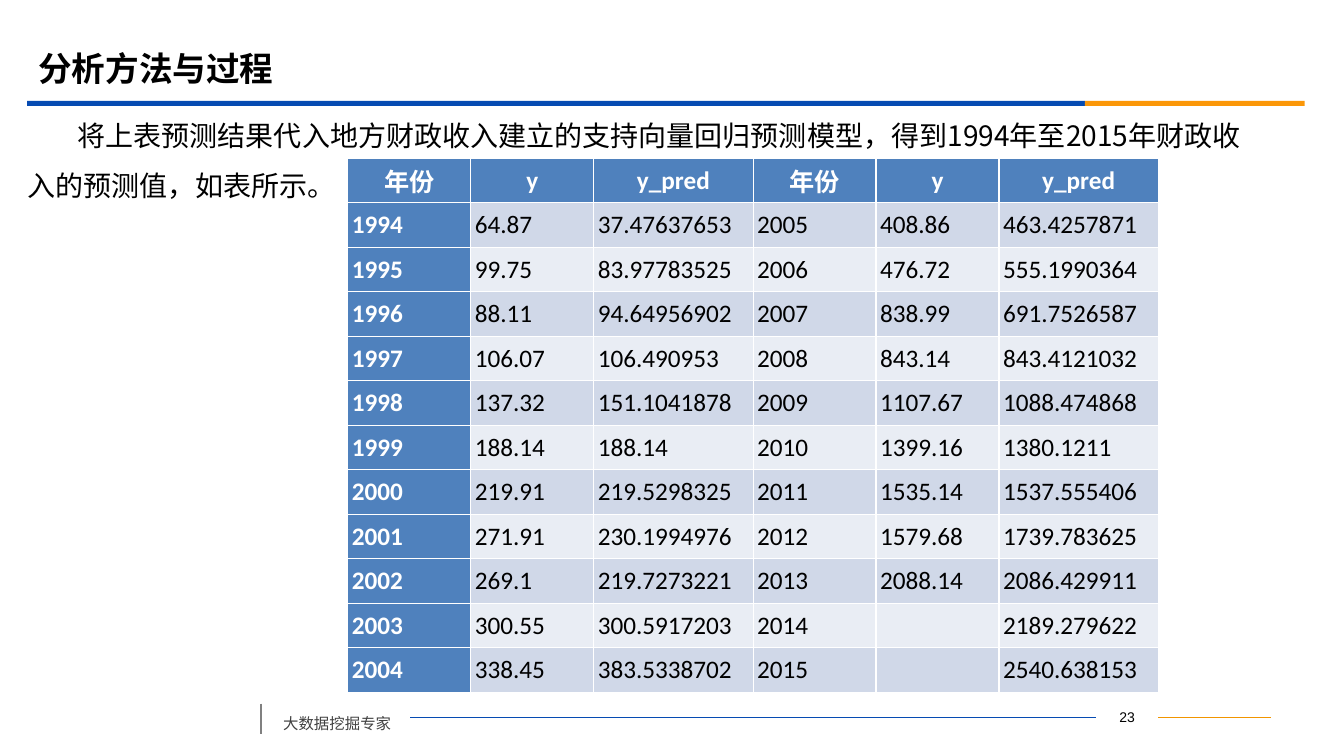
from dataclasses import dataclass

from lxml import etree
from pptx import Presentation
from pptx import util as u
from pptx.dml.color import RGBColor
from pptx.enum import shapes, text
from pptx.oxml import ns

# Content
TITLE = "分析方法与过程"
INTRO = ("将上表预测结果代入地方财政收入建立的支持向量回归预测模型，"
         "得到1994年至2015年财政收入的预测值，如表所示。")
FOOTER, PAGE = "大数据挖掘专家", "23"
HEADINGS = ("年份", "y", "y_pred")
FIRST_YEAR = 1994
REVENUE = [  # (y, y_pred), one pair a year
    ("64.87", "37.47637653"), ("99.75", "83.97783525"),
    ("88.11", "94.64956902"), ("106.07", "106.490953"),
    ("137.32", "151.1041878"), ("188.14", "188.14"),
    ("219.91", "219.5298325"), ("271.91", "230.1994976"),
    ("269.1", "219.7273221"), ("300.55", "300.5917203"),
    ("338.45", "383.5338702"), ("408.86", "463.4257871"),
    ("476.72", "555.1990364"), ("838.99", "691.7526587"),
    ("843.14", "843.4121032"), ("1107.67", "1088.474868"),
    ("1399.16", "1380.1211"), ("1535.14", "1537.555406"),
    ("1579.68", "1739.783625"), ("2088.14", "2086.429911"),
    ("", "2189.279622"), ("", "2540.638153"),
]


@dataclass(frozen=True)
class Theme:
    blue: str = "064BB2"
    orange: str = "FB9708"
    rule_orange: str = "F19500"
    grey: str = "808080"
    footer: str = "404040"
    black: str = "000000"
    white: str = "FFFFFF"
    header: str = "4F81BD"
    bands: tuple = ("D0D8E8", "E9EDF4")
    latin: str = "Arial"
    cjk: str = "Noto Sans CJK SC"
    table_font: str = "Calibri"
    title_size: int = 24
    body_size: int = 20
    table_size: int = 18
    footer_size: int = 11
    page_size: int = 10


T = Theme()
ALIGN = text.PP_ALIGN

# Grid, in inches
WIDTH, HEIGHT = 13.33, 7.5
LEFT = 0.27
BAR_TOP, BAR_HEIGHT, BAR_SPLIT, BAR_END = 1, 0.05, 10.76, 12.94
TABLE_LEFT, TABLE_TOP, TABLE_HEIGHT = 3.45, 1.57, 5.3
COLUMNS = (1.22, 1.22, 1.58) * 2
FOOTER_Y, FOOTER_LEFT = 7.12, 2.59
RULE_START, PAGE_LEFT, PAGE_RIGHT, RULE_END = 4.07, 10.87, 11.49, 12.61

deck = Presentation()
deck.slide_width, deck.slide_height = u.Inches(WIDTH), u.Inches(HEIGHT)
slide = deck.slides.add_slide(deck.slide_layouts[5])


def rgb(colour):
    return RGBColor.from_string(colour)


def write(frame, words, size, font=T.cjk, colour=T.black, bold=False,
          align=ALIGN.LEFT, spacing=1.0, before=0, indent=0, inset=None,
          anchor=None):
    frame.word_wrap = True
    if anchor is not None:
        frame.vertical_anchor = anchor
    if inset is not None:
        frame.margin_left = frame.margin_right = u.Inches(inset)
        frame.margin_top = frame.margin_bottom = u.Inches(inset)
    paragraph = frame.paragraphs[0]
    paragraph.alignment = align
    paragraph.line_spacing, paragraph.space_before = spacing, u.Pt(before)
    if indent:
        paragraph._p.get_or_add_pPr().set("indent", str(u.Inches(indent)))
    run = paragraph.add_run()
    run.text = words
    run.font.size, run.font.name, run.font.bold = u.Pt(size), font, bold
    run.font.color.rgb = rgb(colour)
    east_asian = etree.SubElement(run._r.get_or_add_rPr(), ns.qn("a:ea"))
    east_asian.set("typeface", T.cjk)


def text_box(left, top, width, height):
    box = slide.shapes.add_textbox(*map(u.Inches, (left, top, width, height)))
    return box.text_frame


def bar(left, right, colour):
    strip = slide.shapes.add_shape(
        shapes.MSO_SHAPE.RECTANGLE, u.Inches(left), u.Inches(BAR_TOP),
        u.Inches(right - left), u.Inches(BAR_HEIGHT))
    strip.shadow.inherit = False
    strip.fill.solid()
    strip.fill.fore_color.rgb = rgb(colour)
    strip.line.fill.background()


def rule(x1, y1, x2, y2, colour, weight):
    line = slide.shapes.add_connector(
        shapes.MSO_CONNECTOR.STRAIGHT, *map(u.Inches, (x1, y1, x2, y2)))
    line.line.color.rgb = rgb(colour)
    line.line.width = u.Pt(weight)
    etree.SubElement(line._element.spPr, ns.qn("a:effectLst"))


# Footer
rule(PAGE_RIGHT, FOOTER_Y, RULE_END, FOOTER_Y, T.rule_orange, 0.75)
rule(RULE_START, FOOTER_Y, PAGE_LEFT, FOOTER_Y, T.blue, 0.75)
rule(FOOTER_LEFT, 6.98, FOOTER_LEFT, 7.28, T.grey, 1.25)
write(text_box(2.71, 6.94, 1.36, 0.38), FOOTER, T.footer_size,
      colour=T.footer, spacing=1.5, before=6)
write(text_box(PAGE_LEFT, 6.99, PAGE_RIGHT - PAGE_LEFT, 0.25), PAGE,
      T.page_size, font=T.latin, align=ALIGN.CENTER, inset=0,
      anchor=text.MSO_ANCHOR.MIDDLE)

# Title and its two-colour bar
bar(LEFT, BAR_SPLIT, T.blue)
bar(BAR_SPLIT, BAR_END, T.orange)
title = slide.shapes.title
title.left, title.top = u.Inches(0.28), u.Inches(0.39)
title.width, title.height = u.Inches(12), u.Inches(0.58)
write(title.text_frame, TITLE, T.title_size, font=T.latin, bold=True,
      anchor=text.MSO_ANCHOR.MIDDLE)

# Introduction
write(text_box(LEFT, 1.01, 12.29, 1.01), INTRO, T.body_size, spacing=1.5,
      before=4, indent=0.5, inset=0)

# Table: the years run down the left half, then down the right half
years = [(str(FIRST_YEAR + i), *pair) for i, pair in enumerate(REVENUE)]
half = len(years) // 2
rows = [HEADINGS * 2] + [a + b for a, b in zip(years[:half], years[half:])]
table = slide.shapes.add_table(
    len(rows), len(COLUMNS), u.Inches(TABLE_LEFT), u.Inches(TABLE_TOP),
    u.Inches(sum(COLUMNS)), u.Inches(TABLE_HEIGHT)).table
table.first_col = True
for column, width in zip(table.columns, COLUMNS):
    column.width = u.Inches(width)
for r, row in enumerate(rows):
    table.rows[r].height = u.Inches(TABLE_HEIGHT / len(rows))
    for c, value in enumerate(row):
        cell = table.cell(r, c)
        heading = r == 0 or c == 0
        cell.fill.solid()
        cell.fill.fore_color.rgb = rgb(
            T.header if heading else T.bands[(r - 1) % 2])
        cell.margin_left = cell.margin_right = u.Inches(0.04)
        cell.margin_top = cell.margin_bottom = 0
        cell.vertical_anchor = text.MSO_ANCHOR.MIDDLE
        if value:
            write(cell.text_frame, value, T.table_size, font=T.table_font,
                  colour=T.white if heading else T.black, bold=heading,
                  align=ALIGN.CENTER if r == 0 else ALIGN.JUSTIFY)

deck.save("out.pptx")
